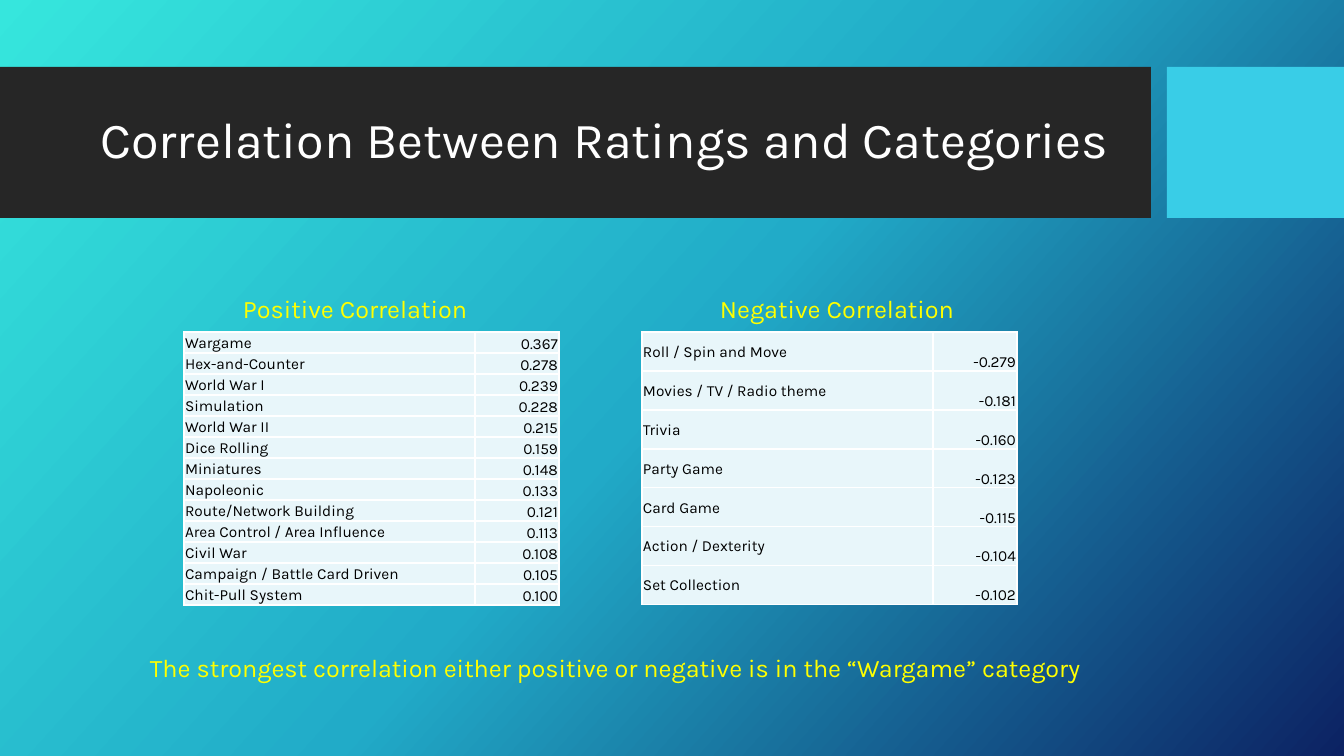
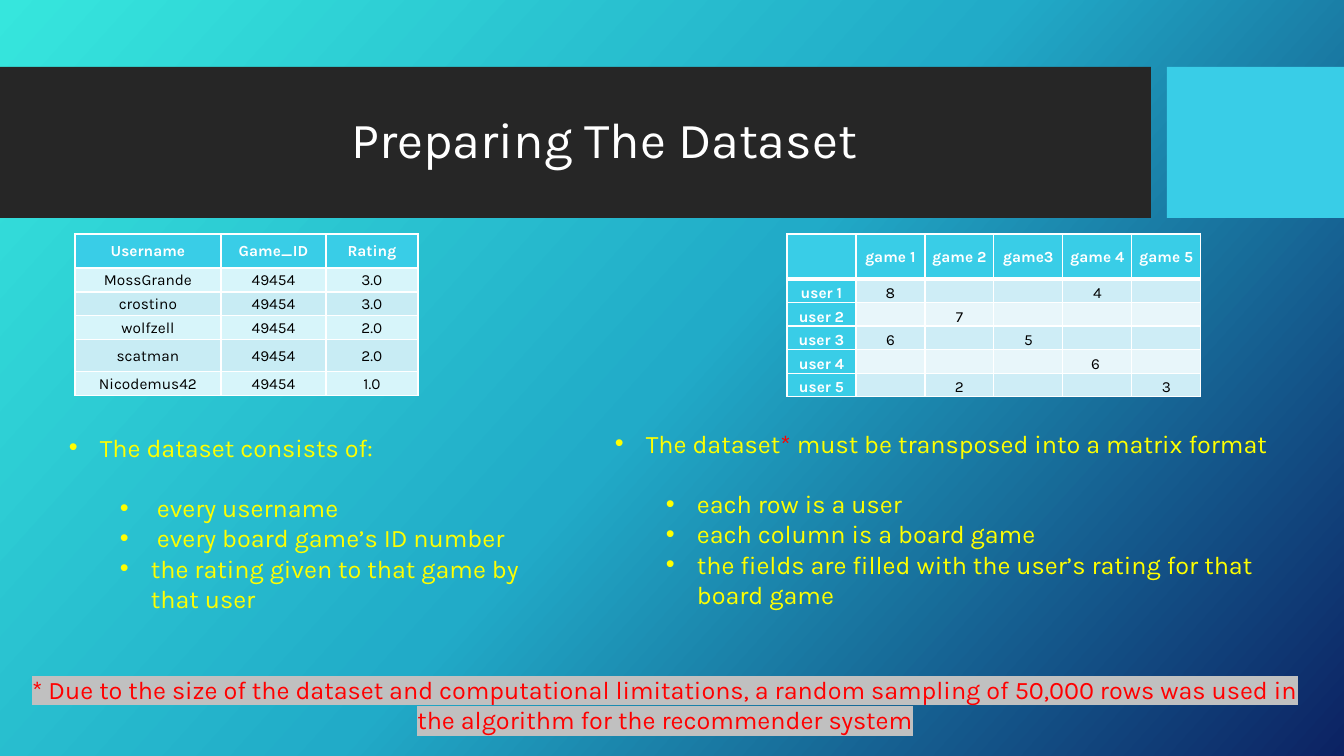
import pptx
import pptx.dml.color
import pptx.enum.shapes
import pptx.enum.text
import pptx.oxml.ns
import pptx.util
from lxml import etree

FONT = "Karla"
WHITE, BLACK, YELLOW, RED = "FFFFFF", "000000", "FFFF00", "FF0000"
DARK, CYAN, PALE, MIST, GREY = "262626", "39CDE7", "E8F6FA", "CEEDF6", "C0C0C0"
GRADIENT = [(0, "36E6DD"), (50, "21ABC8"), (100, "0C2263")]
GRADIENT_ANGLE = 42
BANDS = [((0, 67, 1151, 151), DARK), ((1167, 67, 177, 151), CYAN)]
TITLE_AT = (75, 83, 1059, 119)

CORRELATION_TITLE = "Correlation Between Ratings and Categories"
POSITIVE = [
    ("Wargame", "0.367"), ("Hex-and-Counter", "0.278"), ("World War I", "0.239"),
    ("Simulation", "0.228"), ("World War II", "0.215"), ("Dice Rolling", "0.159"),
    ("Miniatures", "0.148"), ("Napoleonic", "0.133"),
    ("Route/Network Building", "0.121"), ("Area Control / Area Influence", "0.113"),
    ("Civil War", "0.108"), ("Campaign / Battle Card Driven", "0.105"),
    ("Chit-Pull System", "0.100"),
]
NEGATIVE = [
    ("Roll / Spin and Move", "-0.279"), ("Movies / TV / Radio theme", "-0.181"),
    ("Trivia", "-0.160"), ("Party Game", "-0.123"), ("Card Game", "-0.115"),
    ("Action / Dexterity", "-0.104"), ("Set Collection", "-0.102"),
]
# heading, heading left, table left, rows
CORRELATIONS = [
    ("Positive Correlation", 233, 184, POSITIVE),
    ("Negative Correlation", 710, 642, NEGATIVE),
]
CORRELATION_TOP, CORRELATION_HEIGHT, CORRELATION_COLS = 332, 273, (291, 84)
CONCLUSION = ("The strongest correlation either positive or negative "
              "is in the “Wargame” category")

DATASET_TITLE = "Preparing The Dataset"
RATINGS = [
    ("Username", "Game_ID", "Rating"),
    ("MossGrande", "49454", "3.0"),
    ("crostino", "49454", "3.0"),
    ("wolfzell", "49454", "2.0"),
    ("scatman", "49454", "2.0"),
    ("Nicodemus42", "49454", "1.0"),
]
MATRIX = [
    ("", "game 1", "game 2", "game3", "game 4 ", "game 5"),
    ("user 1", "8", "", "", "4", ""),
    ("user 2", "", "7", "", "", ""),
    ("user 3", "6", "", "5", "", ""),
    ("user 4", "", "", "", "6\u00a0", ""),
    ("user 5", "", "2", "", "", "3"),
]
# box, coloured heading spans, points below it
BULLET_LISTS = [
    ((59, 427, 504, 194), [("The dataset consists of:", YELLOW)],
     [" every username", " every board game’s ID number",
      "the rating given to that game by that user"]),
    ((605, 423, 679, 194),
     [("The dataset", YELLOW), ("*", RED),
      (" must be transposed into a matrix format", YELLOW)],
     ["each row is a user", "each column is a board game",
      "the fields are filled with the user’s rating for that board game"]),
]
FOOTNOTE = ("* Due to the size of the dataset and computational limitations, a random "
            "sampling of 50,000 rows was used in the algorithm for the recommender system")

ALIGN = pptx.enum.text.PP_ALIGN
ANCHOR = pptx.enum.text.MSO_ANCHOR
qn = pptx.oxml.ns.qn


def px(length):
    """Turn pixels into EMU."""
    return pptx.util.Emu(round(length * 914400 / 100.8))


def rgb(code):
    """Turn a hex string into a colour."""
    return pptx.dml.color.RGBColor.from_string(code)


def add_colour(parent, code):
    """Append a colour element to an XML parent."""
    etree.SubElement(parent, qn("a:srgbClr"), val=code)


def add_span(para, text, size, colour, bold=False, highlight=None):
    """Add one formatted run to a paragraph."""
    span = para.add_run()
    span.text = text
    span.font.name = FONT
    span.font.size = pptx.util.Pt(size)
    span.font.bold = bold
    span.font.color.rgb = rgb(colour)
    if highlight:
        mark = etree.Element(qn("a:highlight"))
        add_colour(mark, highlight)
        span._r.get_or_add_rPr().find(qn("a:solidFill")).addnext(mark)


def add_box(page, at, anchor=ANCHOR.TOP):
    """Add a wrapping text box and return its text frame."""
    frame = page.shapes.add_textbox(*map(px, at)).text_frame
    frame.word_wrap = True
    frame.vertical_anchor = anchor
    return frame


def add_line(page, at, text, colour, align=ALIGN.LEFT, highlight=None):
    """Add a text box with one 18 point paragraph."""
    para = add_box(page, at).paragraphs[0]
    para.alignment = align
    add_span(para, text, 18, colour, highlight=highlight)


def set_bullet(para, left):
    """Give a paragraph a hanging round bullet."""
    props = para._p.get_or_add_pPr()
    props.set("marL", str(px(left)))
    props.set("indent", str(px(-31)))
    etree.SubElement(props, qn("a:buFont"), typeface="Arial")
    etree.SubElement(props, qn("a:buChar"), char="•")


def add_bullets(page, at, heading, points):
    """Add a bulleted heading with a second level of points below."""
    frame = add_box(page, at)
    para = frame.paragraphs[0]
    para.space_after = pptx.util.Pt(21.6)
    set_bullet(para, 31)
    for text, colour in heading:
        add_span(para, text, 18, colour)
    for point in points:
        para = frame.add_paragraph()
        para.level = 1
        set_bullet(para, 82)
        add_span(para, point, 18, YELLOW)


def set_borders(cell, **widths):
    """Draw white cell borders; widths in points by side L, R, T, B."""
    props = cell._tc.get_or_add_tcPr()
    for side in "LRTB":
        width = pptx.util.Pt(widths.get(side, 1))
        line = etree.SubElement(props, qn("a:ln" + side), w=str(width))
        add_colour(etree.SubElement(line, qn("a:solidFill")), WHITE)


def add_table(page, left, top, cols, heights, rows, look,
              margins=(1, 1, 1, 0), spacing=None, rule=1):
    """Add a table; look(row, col) gives fill, alignment, anchor and header flag."""
    table = page.shapes.add_table(len(rows), len(cols), px(left), px(top),
                                  px(sum(cols)), px(sum(heights))).table
    table.first_row = table.horz_banding = False
    for column, width in zip(table.columns, cols):
        column.width = px(width)
    for r, (row, height) in enumerate(zip(rows, heights)):
        table.rows[r].height = px(height)
        for c, text in enumerate(row):
            fill, align, anchor, header = look(r, c)
            cell = table.cell(r, c)
            set_borders(cell, T=rule if r == 1 else 1, B=rule if r == 0 else 1)
            cell.fill.solid()
            cell.fill.fore_color.rgb = rgb(fill)
            cell.vertical_anchor = anchor
            (cell.margin_left, cell.margin_top,
             cell.margin_right, cell.margin_bottom) = map(px, margins)
            para = cell.text_frame.paragraphs[0]
            para.alignment = align
            if spacing:
                para.line_spacing = spacing
            if text:
                add_span(para, text, 11, WHITE if header else BLACK, header)
            else:
                etree.SubElement(para._p, qn("a:endParaRPr"), sz="1100")


def correlation_look(row, col):
    """Style names on the left and values at bottom right."""
    if col:
        return PALE, ALIGN.RIGHT, ANCHOR.BOTTOM, False
    return PALE, ALIGN.LEFT, ANCHOR.MIDDLE, False


def ratings_look(row, col):
    """Style a header row above two alternating tints."""
    fill = ("C8ECF4", "D7F5FA")[row % 2] if row else CYAN
    return fill, ALIGN.CENTER, ANCHOR.MIDDLE, row == 0


def matrix_look(row, col):
    """Style a header row and column around alternating tints."""
    header = row == 0 or col == 0
    fill = CYAN if header else (PALE, MIST)[row % 2]
    return fill, ALIGN.CENTER, ANCHOR.BOTTOM if row else ANCHOR.MIDDLE, header


def set_background(master):
    """Give every slide the diagonal gradient."""
    fill = master.background.fill
    fill.gradient()
    fill.gradient_angle = 360 - GRADIENT_ANGLE
    stops = master.element.find(".//" + qn("p:bg")).find(".//" + qn("a:gsLst"))
    for stop in list(stops):
        stops.remove(stop)
    for percent, code in GRADIENT:
        add_colour(etree.SubElement(stops, qn("a:gs"), pos=str(percent * 1000)), code)


def add_page(deck, title):
    """Add a slide with the title bands and its title."""
    page = deck.slides.add_slide(deck.slide_layouts[6])
    for at, colour in BANDS:
        band = page.shapes.add_shape(pptx.enum.shapes.MSO_SHAPE.RECTANGLE, *map(px, at))
        band.shadow.inherit = False
        band.fill.solid()
        band.fill.fore_color.rgb = rgb(colour)
        band.line.fill.background()
    para = add_box(page, TITLE_AT, ANCHOR.MIDDLE).paragraphs[0]
    para.alignment = ALIGN.CENTER
    para.line_spacing = 0.9
    add_span(para, title, 36, WHITE)
    return page


def build_correlation(deck):
    """Build the slide with the two correlation tables."""
    page = add_page(deck, CORRELATION_TITLE)
    for heading, heading_left, left, rows in CORRELATIONS:
        heights = [CORRELATION_HEIGHT / len(rows)] * len(rows)
        add_table(page, left, CORRELATION_TOP, CORRELATION_COLS, heights, rows,
                  correlation_look)
        add_line(page, (heading_left, 288, 280, 40), heading, YELLOW)
    add_line(page, (140, 647, 1003, 72), CONCLUSION, YELLOW)


def build_dataset(deck):
    """Build the slide with the ratings list and the rating matrix."""
    page = add_page(deck, DATASET_TITLE)
    add_table(page, 787, 234, [69] * 6, [45] + [23.6] * 5, MATRIX, matrix_look,
              margins=(7, 0, 7, 0), spacing=1.07, rule=3)
    add_table(page, 75, 234, (146, 105, 92), (34, 24, 24, 24, 32, 24), RATINGS,
              ratings_look)
    for at, heading, points in BULLET_LISTS:
        add_bullets(page, at, heading, points)
    add_line(page, (10, 669, 1310, 72), FOOTNOTE, RED, ALIGN.CENTER, GREY)


deck = pptx.Presentation()
deck.slide_width, deck.slide_height = px(1344), px(756)
set_background(deck.slide_master)
build_correlation(deck)
build_dataset(deck)
deck.save("out.pptx")
